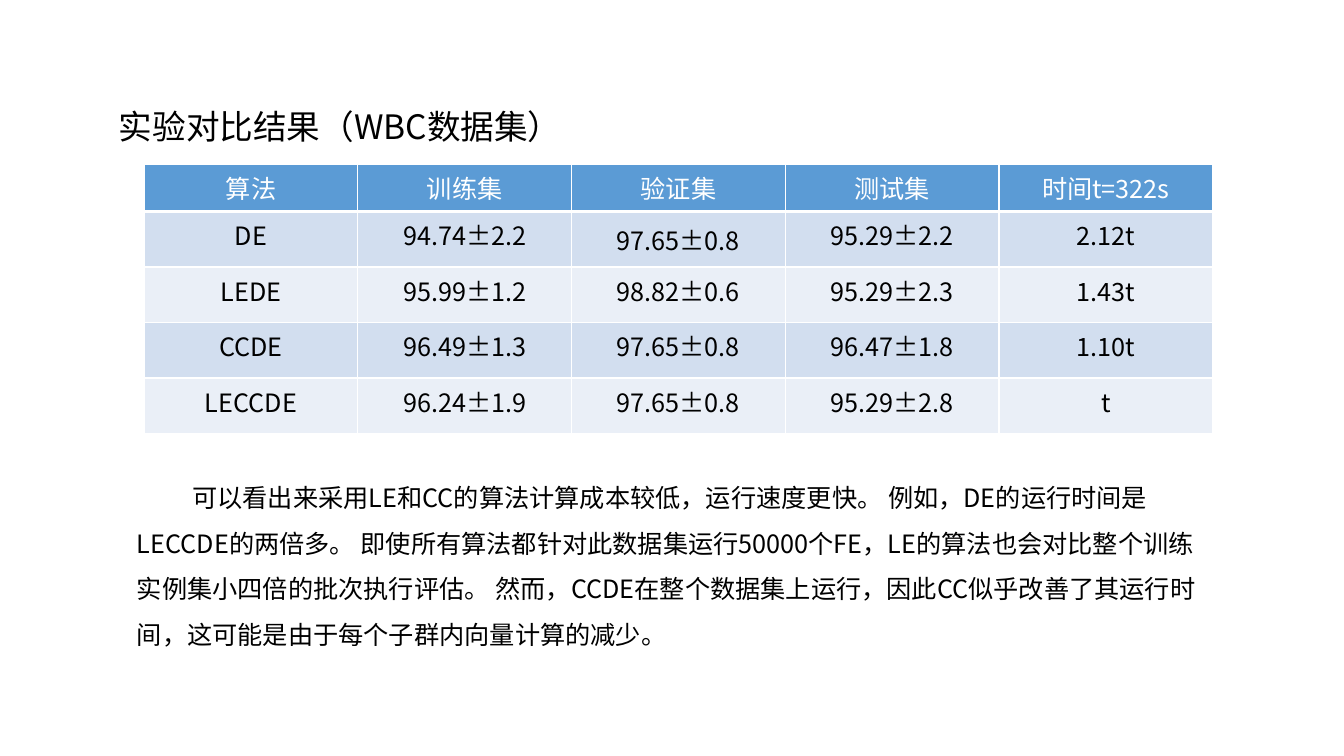
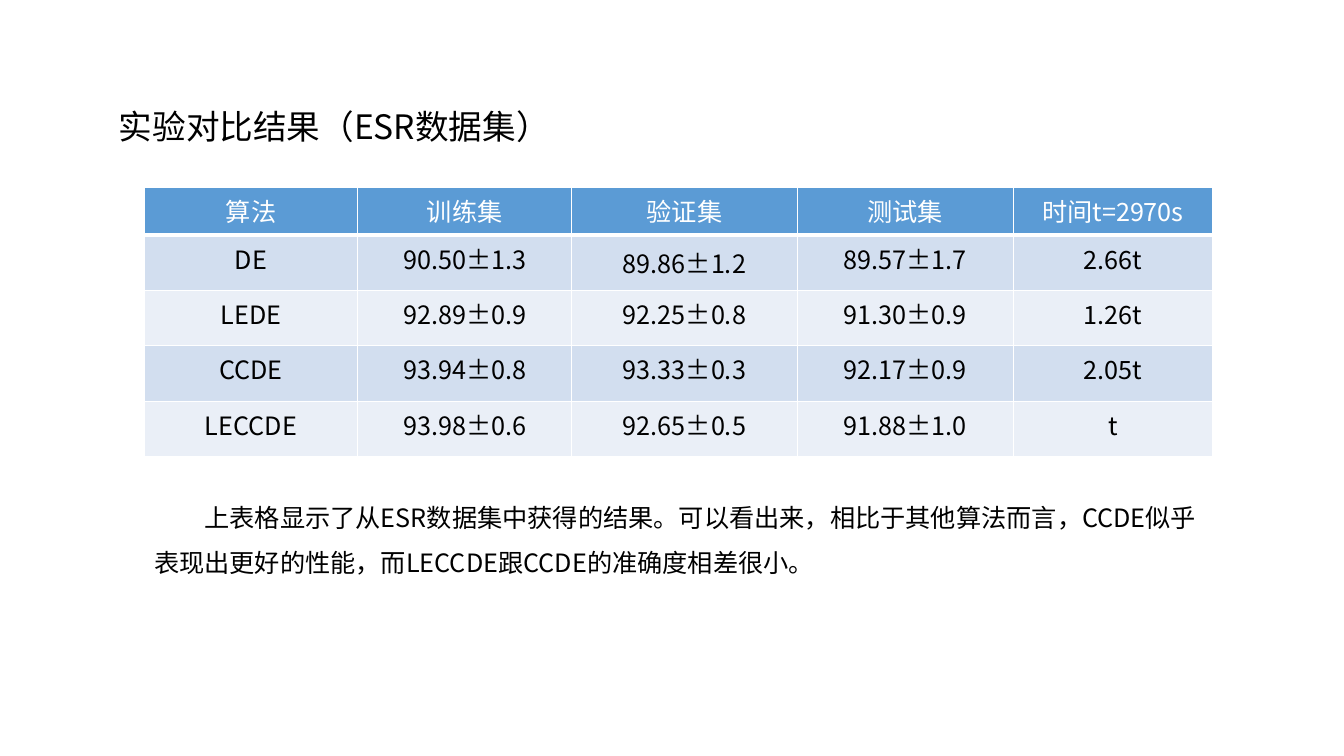
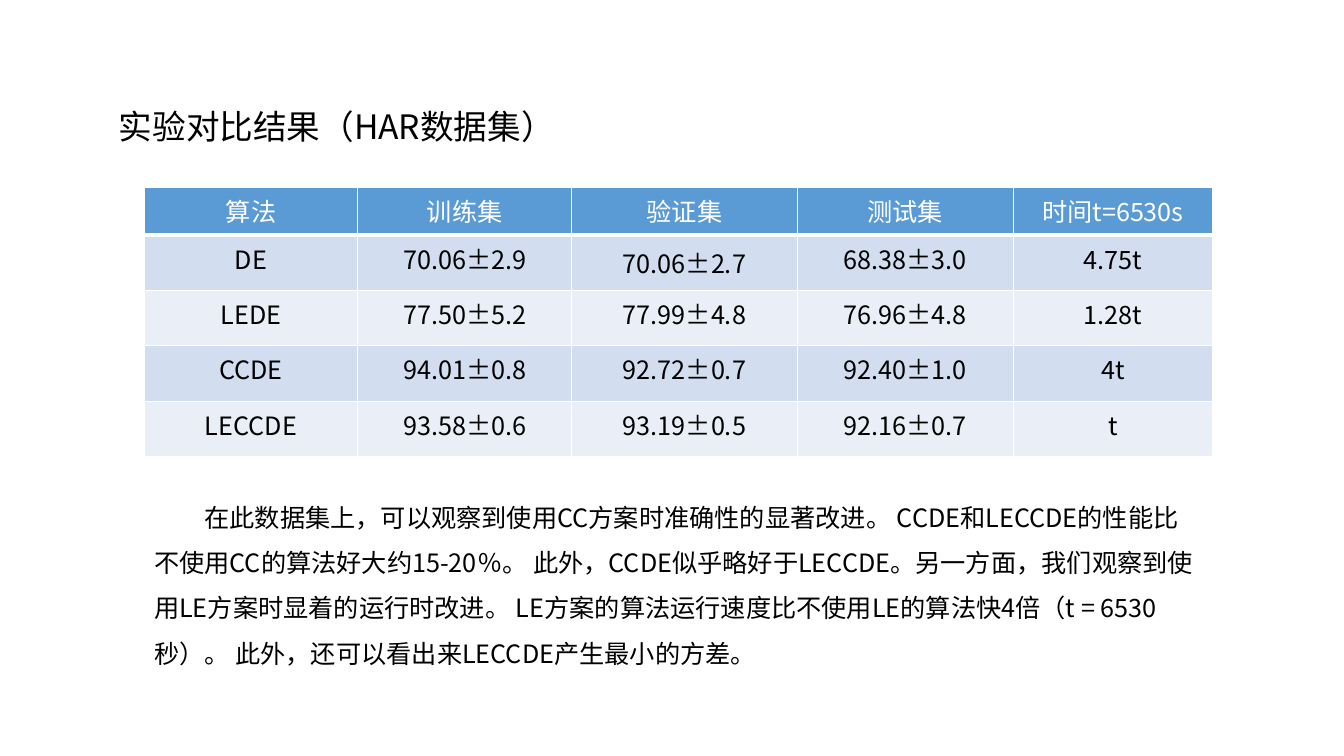
from dataclasses import dataclass

from lxml import etree
from pptx import Presentation
from pptx import util as u
from pptx.dml import color
from pptx.enum import text
from pptx.oxml import ns

PX = 9144


@dataclass(frozen=True)
class Theme:
    font: str = "Noto Sans CJK SC"
    ink: str = "000000"
    paper: str = "FFFFFF"
    header: str = "5B9BD5"
    bands: tuple = ("D2DEEF", "EAEFF7")
    title_size: int = 24
    body_size: int = 18
    body_spacing: float = 1.5
    rule: int = 1
    header_rule: int = 3


@dataclass(frozen=True)
class Result:
    dataset: str
    seconds: int
    scores: tuple
    comment: str
    table_top: int
    columns: tuple
    comment_box: tuple
    indent: int = 50


THEME = Theme()
EVEN_COLUMNS = (212,) * 5
WIDE_COLUMNS = (212, 212, 224, 214, 198)
ROW_HEIGHTS = (47, 55, 55, 55, 55)
ALGORITHMS = ("DE", "LEDE", "CCDE", "LECCDE")

RESULTS = (
    Result(
        "WBC", 322,
        (("94.74±2.2", "97.65±0.8", "95.29±2.2", "2.12t"),
         ("95.99±1.2", "98.82±0.6", "95.29±2.3", "1.43t"),
         ("96.49±1.3", "97.65±0.8", "96.47±1.8", "1.10t"),
         ("96.24±1.9", "97.65±0.8", "95.29±2.8", "t")),
        "可以看出来采用LE和CC的算法计算成本较低，运行速度更快。 "
        "例如，DE的运行时间是LECCDE的两倍多。 "
        "即使所有算法都针对此数据集运行50000个FE，"
        "LE的算法也会对比整个训练实例集小四倍的批次执行评估。 "
        "然而，CCDE在整个数据集上运行，因此CC似乎改善了其运行时间，"
        "这可能是由于每个子群内向量计算的减少。",
        163, EVEN_COLUMNS, (126, 459, 1077, 192), 55),
    Result(
        "ESR", 2970,
        (("90.50±1.3", "89.86±1.2", "89.57±1.7", "2.66t"),
         ("92.89±0.9", "92.25±0.8", "91.30±0.9", "1.26t"),
         ("93.94±0.8", "93.33±0.3", "92.17±0.9", "2.05t"),
         ("93.98±0.6", "92.65±0.5", "91.88±1.0", "t")),
        "上表格显示了从ESR数据集中获得的结果。可以看出来，"
        "相比于其他算法而言，CCDE似乎表现出更好的性能，"
        "而LECCDE跟CCDE的准确度相差很小。",
        186, WIDE_COLUMNS, (143, 478, 1059, 96)),
    Result(
        "HAR", 6530,
        (("70.06±2.9", "70.06±2.7", "68.38±3.0", "4.75t"),
         ("77.50±5.2", "77.99±4.8", "76.96±4.8", "1.28t"),
         ("94.01±0.8", "92.72±0.7", "92.40±1.0", "4t"),
         ("93.58±0.6", "93.19±0.5", "92.16±0.7", "t")),
        "在此数据集上，可以观察到使用CC方案时准确性的显著改进。 "
        "CCDE和LECCDE的性能比不使用CC的算法好大约15-20％。 "
        "此外，CCDE似乎略好于LECCDE。另一方面，"
        "我们观察到使用LE方案时显着的运行时改进。 "
        "LE方案的算法运行速度比不使用LE的算法快4倍（t = 6530秒）。 "
        "此外，还可以看出来LECCDE产生最小的方差。",
        186, WIDE_COLUMNS, (143, 478, 1059, 192)),
)


def px(*lengths):
    return [u.Emu(length * PX) for length in lengths]


def rgb(value):
    return color.RGBColor.from_string(value)


def add_run(paragraph, words, size, ink):
    run = paragraph.add_run()
    run.text = words
    run.font.size = u.Pt(size)
    run.font.bold = False
    run.font.color.rgb = rgb(ink)
    run.font.name = THEME.font
    east_asian = etree.SubElement(run.font._element, ns.qn("a:ea"))
    east_asian.set("typeface", THEME.font)


def add_text(slide, box, words, size):
    frame = slide.shapes.add_textbox(*px(*box)).text_frame
    frame.word_wrap = True
    frame.auto_size = text.MSO_AUTO_SIZE.SHAPE_TO_FIT_TEXT
    paragraph = frame.paragraphs[0]
    add_run(paragraph, words, size, THEME.ink)
    return paragraph


def add_title(slide, dataset):
    add_text(slide, (108, 100, 532, 50),
             f"实验对比结果（{dataset}数据集）", THEME.title_size)


def add_comment(slide, result):
    paragraph = add_text(slide, result.comment_box, result.comment,
                         THEME.body_size)
    paragraph.line_spacing = THEME.body_spacing
    paragraph._p.get_or_add_pPr().set("indent", str(result.indent * PX))


def add_borders(cell, bottom):
    properties = cell._tc.get_or_add_tcPr()
    widths = {"L": THEME.rule, "R": THEME.rule, "T": THEME.rule, "B": bottom}
    for side, width in widths.items():
        line = etree.SubElement(properties, ns.qn(f"a:ln{side}"),
                                w=str(u.Pt(width)))
        fill = etree.SubElement(line, ns.qn("a:solidFill"))
        etree.SubElement(fill, ns.qn("a:srgbClr"), val=THEME.paper)


def fill_cell(cell, words, fill, ink, bottom):
    add_borders(cell, bottom)
    cell.fill.solid()
    cell.fill.fore_color.rgb = rgb(fill)
    paragraph = cell.text_frame.paragraphs[0]
    paragraph.alignment = text.PP_ALIGN.CENTER
    add_run(paragraph, words, THEME.body_size, ink)


def add_scores(slide, result):
    headings = ("算法", "训练集", "验证集", "测试集", f"时间t={result.seconds}s")
    rows = [headings]
    rows += [(name, *line) for name, line in zip(ALGORITHMS, result.scores)]
    place = px(143, result.table_top, sum(result.columns), sum(ROW_HEIGHTS))
    table = slide.shapes.add_table(len(rows), len(headings), *place).table
    table.first_row = False
    table.horz_banding = False
    for column, width in zip(table.columns, px(*result.columns)):
        column.width = width
    for row, height in zip(table.rows, px(*ROW_HEIGHTS)):
        row.height = height
    for r, line in enumerate(rows):
        if r == 0:
            look = (THEME.header, THEME.paper, THEME.header_rule)
        else:
            look = (THEME.bands[(r - 1) % 2], THEME.ink, THEME.rule)
        for c, words in enumerate(line):
            fill_cell(table.cell(r, c), words, *look)
    table.cell(1, 2).vertical_anchor = text.MSO_ANCHOR.MIDDLE


def main():
    deck = Presentation()
    deck.slide_width, deck.slide_height = px(1333, 750)
    for result in RESULTS:
        slide = deck.slides.add_slide(deck.slide_layouts[6])
        add_title(slide, result.dataset)
        add_scores(slide, result)
        add_comment(slide, result)
    deck.save("out.pptx")


if __name__ == "__main__":
    main()
